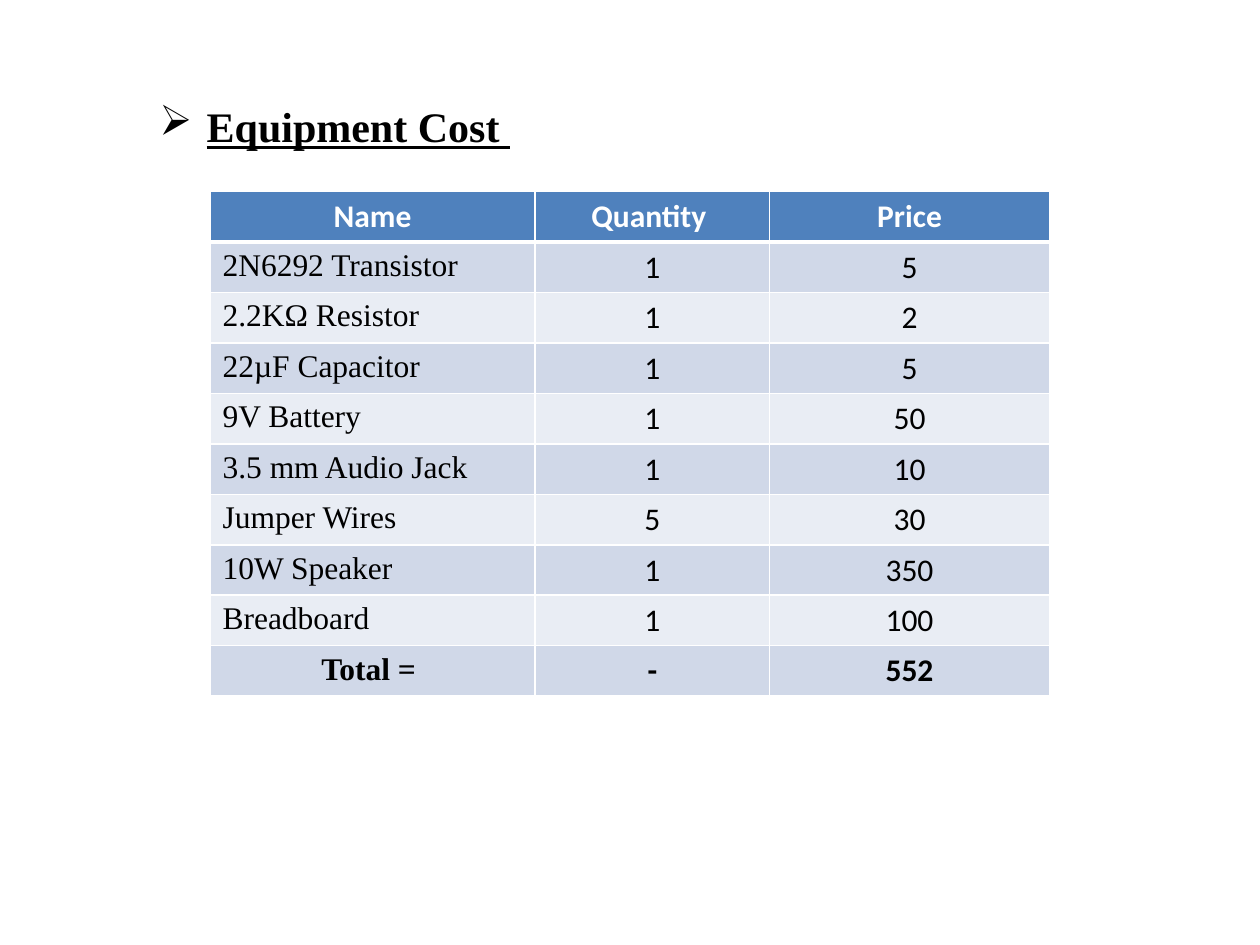
from lxml.etree import SubElement
from pptx import Presentation
from pptx.dml.color import RGBColor
from pptx.enum.text import MSO_AUTO_SIZE, PP_ALIGN
from pptx.oxml.ns import qn
from pptx.util import Pt

TITLE = "Equipment Cost "
HEADER = ("Name", "Quantity ", "Price")
ITEMS = [
    ("2N6292 Transistor", "1", "5"),
    ("2.2ΚΩ Resistor", "1", "2"),
    ("22µF Capacitor", "1", "5"),
    ("9V Battery", "1", "50"),
    ("3.5 mm Audio Jack", "1", "10"),
    ("Jumper Wires", "5", "30"),
    ("10W Speaker", "1", "350"),
    ("Breadboard", "1", "100"),
]
TOTAL = ("Total = ", "-", "552")

THEME = {
    "serif": "Times New Roman",
    "sans": "Calibri",
    "title_size": 24,
    "cell_size": 18,
    "text": "000000",
    "header_text": "FFFFFF",
    "header_fill": "4F81BD",
    "bands": ("D0D8E8", "E9EDF4"),
    "border": "FFFFFF",
}
COLUMN_WIDTHS = (185.8, 134, 160)
ROW_HEIGHT = 28.8
TABLE_LEFT, TABLE_TOP = 120, 109.5
BULLET_INDENT = 27


def format_font(font, color, **values):
    for name, value in values.items():
        setattr(font, name, value)
    font.color.rgb = RGBColor.from_string(color)


def add_title(slide):
    box = slide.shapes.add_textbox(Pt(84), Pt(54), Pt(217), Pt(36))
    frame = box.text_frame
    frame.word_wrap = False
    frame.auto_size = MSO_AUTO_SIZE.SHAPE_TO_FIT_TEXT
    paragraph = frame.paragraphs[0]
    properties = paragraph._p.get_or_add_pPr()
    properties.set("marL", str(Pt(BULLET_INDENT)))
    properties.set("indent", str(-Pt(BULLET_INDENT)))
    SubElement(properties, qn("a:buChar"), char="➢")
    run = paragraph.add_run()
    run.text = TITLE
    format_font(run.font, THEME["text"], name=THEME["serif"],
                size=Pt(THEME["title_size"]), bold=True, underline=True)


def set_borders(cell, widths):
    """Draw cell borders; widths maps L, R, T and B to points, in that order."""
    properties = cell._tc.get_or_add_tcPr()
    for side, width in widths.items():
        line = SubElement(properties, qn(f"a:ln{side}"), w=str(Pt(width)))
        fill = SubElement(line, qn("a:solidFill"))
        SubElement(fill, qn("a:srgbClr"), val=THEME["border"])


def format_cell(cell, text, row, column, last_row):
    is_header, is_total = row == 0, row == last_row
    is_item_name = column == 0 and not is_header and not is_total
    set_borders(cell, {"L": 1, "R": 1, "T": 3 if row == 1 else 1,
                       "B": 3 if is_header else 1})
    cell.fill.solid()
    band = THEME["bands"][(row - 1) % 2]
    cell.fill.fore_color.rgb = RGBColor.from_string(
        THEME["header_fill"] if is_header else band)
    paragraph = cell.text_frame.paragraphs[0]
    paragraph.alignment = PP_ALIGN.LEFT if is_item_name else PP_ALIGN.CENTER
    run = paragraph.add_run()
    run.text = text
    serif = column == 0 and not is_header
    format_font(run.font, THEME["header_text" if is_header else "text"],
                name=THEME["serif" if serif else "sans"],
                size=Pt(THEME["cell_size"]), bold=is_header or is_total)


def add_cost_table(slide):
    rows = [HEADER, *ITEMS, TOTAL]
    table = slide.shapes.add_table(
        len(rows), len(HEADER), Pt(TABLE_LEFT), Pt(TABLE_TOP),
        Pt(sum(COLUMN_WIDTHS)), Pt(ROW_HEIGHT * len(rows))).table
    for column, width in zip(table.columns, COLUMN_WIDTHS):
        column.width = Pt(width)
    for row, values in enumerate(rows):
        table.rows[row].height = Pt(ROW_HEIGHT)
        for column, text in enumerate(values):
            format_cell(table.cell(row, column), text, row, column, len(rows) - 1)


def main():
    presentation = Presentation()
    presentation.slide_width, presentation.slide_height = Pt(720), Pt(540)
    slide = presentation.slides.add_slide(presentation.slide_layouts[6])
    add_title(slide)
    add_cost_table(slide)
    presentation.save("out.pptx")


if __name__ == "__main__":
    main()
